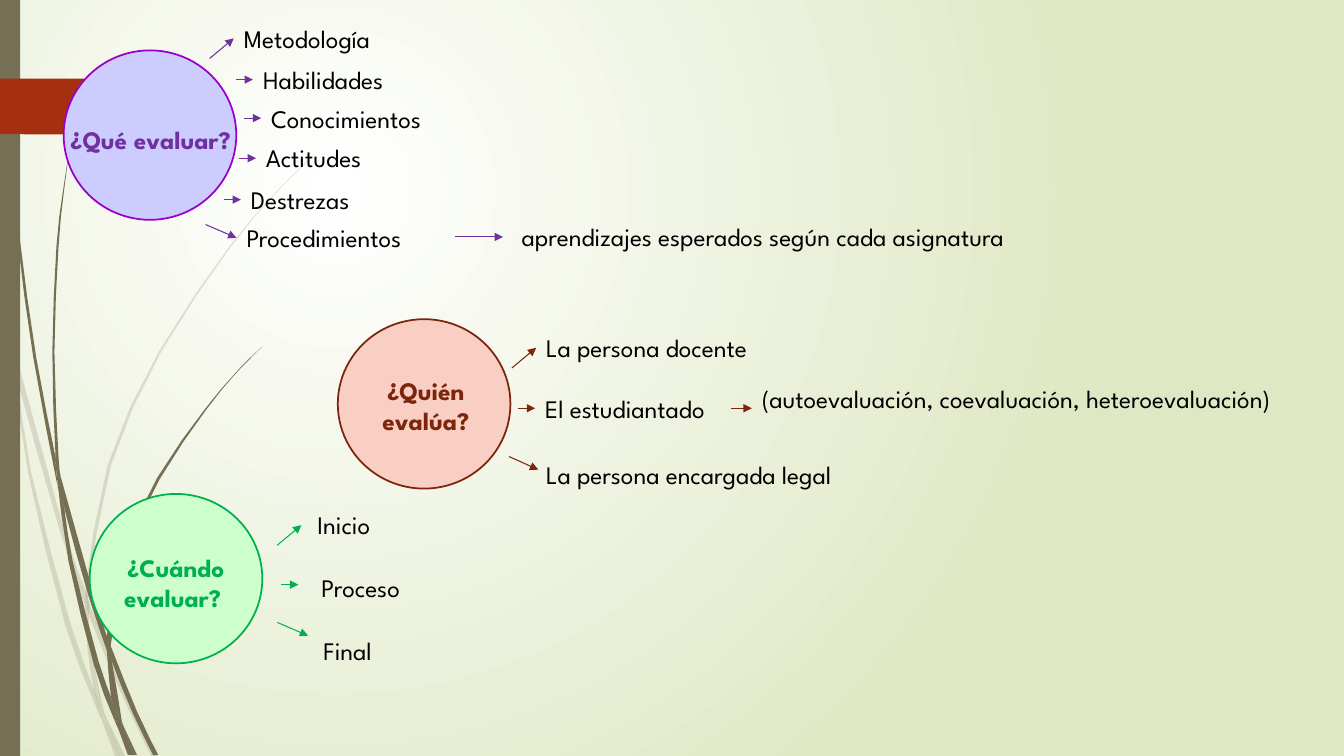
import pptx
import pptx.util
import pptx.dml.color
import pptx.enum.shapes
import pptx.enum.text
import pptx.oxml.ns
import lxml.etree

Pt = pptx.util.Pt
RGBColor = pptx.dml.color.RGBColor
SHAPES = pptx.enum.shapes.MSO_SHAPE
ALIGN = pptx.enum.text.PP_ALIGN

BLACK = RGBColor(0x00, 0x00, 0x00)
WHITE = RGBColor(0xFF, 0xFF, 0xFF)
PALE_GREEN = RGBColor(0xDF, 0xE8, 0xC4)
OLIVE = RGBColor(0x76, 0x6F, 0x54)
RUST = RGBColor(0xA5, 0x30, 0x10)
VIOLET = RGBColor(0x99, 0x00, 0xCC)
PURPLE = RGBColor(0x70, 0x30, 0xA0)
LILAC = RGBColor(0xCC, 0xCC, 0xFF)
BROWN = RGBColor(0x7C, 0x24, 0x0C)
PINK = RGBColor(0xF9, 0xCF, 0xC3)
GREEN = RGBColor(0x00, 0xB0, 0x50)
MINT = RGBColor(0xCC, 0xFF, 0xCC)

FONT = "League Spartan"
SLIDE_SIZE = (960, 540)
CIRCLE_SIZE = (123.3, 121)
ARROW_RUNS = {"up": (17.3, -14.4), "flat": (12.2, 0), "down": (22, 9.5),
              "gentle": (20.9, 9.4), "short": (15.1, 0), "long": (34.6, 0)}

TOPICS = [
    {"circle": (45.5, 36), "fill": LILAC, "line": VIOLET, "color": PURPLE,
     "label": ("¿Qué evaluar?", 40.3, 85.3, 134.6, 29),
     "branches": [
         ("Metodología", 167.1, 13, 226, (167, 27.4), "up"),
         ("Habilidades", 180.9, 42.5, 226, (180.7, 56.9), "flat"),
         ("Conocimientos", 186.5, 70.1, 226, (186.5, 84.4), "flat"),
         ("Actitudes", 182.9, 98.3, 226, (182.9, 113), "flat"),
         ("Destrezas", 172.1, 128.2, 226, (172.1, 142.6), "flat"),
         ("Procedimientos", 169, 155.5, 156, (168.9, 169.9), "down"),
         ("aprendizajes esperados según cada asignatura", 365.6, 154.8, 443,
          (359.3, 169.2), "long")]},
    {"circle": (241.3, 228), "fill": PINK, "line": BROWN, "color": BROWN,
     "label": ("¿Quién evalúa?", 241.2, 264.2, 126, 51),
     "branches": [
         ("La persona docente", 383, 234, 226, (383, 248.4), "up"),
         ("El estudiantado", 382.3, 277.2, 155, (382.3, 291.6), "flat"),
         ("(autoevaluación, coevaluación, heteroevaluación)", 537.1, 270, 407.5,
          (537, 291.6), "short"),
         ("La persona encargada legal", 383, 324.7, 276, (384.5, 335.5), "gentle")]},
    {"circle": (64.1, 352.8), "fill": MINT, "line": GREEN, "color": GREEN,
     "label": ("¿Cuándo evaluar? ", 64.1, 391, 123.1, 51),
     "branches": [
         ("Inicio", 219.6, 360, 226, (215.3, 375.1), "up"),
         ("Proceso", 222.5, 405.4, 73, (213.1, 417.6), "flat"),
         ("Final", 223.9, 450.4, 60, (220.1, 454.1), "down")]},
]

FLAG = [(0, 56.2), (105.1, 56.2), (106.6, 56.9), (124.6, 74.9), (125.3, 76.3),
        (124.6, 77.8), (106.6, 95.8), (105.1, 96.3), (0, 95.8)]
LIGHT_STRANDS = [
    ([(0, 203), (6.5, 231.8), (7.9, 252)], [(7.9, 252), (7.2, 247.7), (0, 215.3)]),
    ([(10.1, 248.4), (12.2, 270.7), (41.8, 375.8), (60.5, 431.3)], [(61.2, 421.9), (44.6, 374.4), (10.1, 248.4)]),
    ([(63.4, 429.1), (63.4, 439.2), (88.6, 499.7), (108, 540)], [(111.6, 540), (91.4, 498.2), (66.2, 437), (63.4, 429.1)]),
    ([(75.6, 511.9), (85.7, 540)], [(89.3, 540), (75.6, 511.9)]),
    ([(7.9, 252), (20.2, 338.4), (46.8, 447.1), (66.2, 499), (72.7, 514.1)],
     [(72.7, 514.1), (71.3, 509), (67, 491.8), (50.4, 445.7), (22.3, 337.7), (12.2, 270.7), (7.9, 252)]),
    ([(60.5, 431.3), (62.6, 465.1), (67, 491.8), (69.1, 498.2), (75.6, 511.9)],
     [(75.6, 511.9), (74.2, 508.3), (65.5, 465.1), (63.4, 439.2), (63.4, 437.8), (60.5, 431.3)]),
    ([(224.6, 110.2), (208.1, 126), (193, 141.8), (164.2, 175.7), (113.8, 250.6), (77, 331.9), (61.2, 420.5), (63.4, 429.1)],
     [(63.4, 429.1), (63.4, 420.5), (79.2, 332.6), (115.2, 251.3), (164.9, 176.4), (193, 142.6), (208.8, 126), (224.6, 110.9)]),
    ([(72.7, 514.1), (82.1, 540)], [(85.7, 540), (72.7, 514.1)]),
    ([(61.2, 421.9), (60.5, 431.3), (63.4, 437.8)], [(63.4, 439.2), (63.4, 429.1), (61.2, 421.9)]),
    ([(67, 491.8), (71.3, 509), (72.7, 514.1), (85.7, 540)], [(85.7, 540), (75.6, 511.9), (69.1, 498.2), (67, 491.8)]),
]
DARK_STRANDS = [
    ([(2.2, 0), (2.9, 34.6), (5, 79.2), (12.2, 167.8), (23.8, 255.6), (40.3, 343.4), (41, 346.3)],
     [(41, 346.3), (39.6, 329), (39.6, 326.2), (25.9, 255.6), (13.7, 167), (5.8, 78.5), (3.6, 34.6), (2.9, 0)]),
    ([(43.2, 339.8), (46.1, 363.6), (63.4, 426.2), (76.3, 464.4)], [(76.3, 455.8), (76.3, 454.3), (67, 424.8), (43.2, 339.8)]),
    ([(79.2, 461.5), (79.9, 472.3), (95, 509.8), (109.4, 539.3)], [(113, 539.3), (97.9, 508.3), (81.4, 467.3), (79.2, 461.5)]),
    ([(41, 343.4), (49, 401), (67, 474.5), (79.9, 509.8), (84.2, 519.8)],
     [(84.2, 519.8), (83.5, 516.2), (79.2, 497.5), (70.6, 473), (51.8, 400.3), (46.1, 363.6), (41, 343.4)]),
    ([(50.4, 101.5), (44.6, 139), (40.3, 176.4), (37.4, 251.3), (39.6, 323.3), (43.2, 339.8)],
     [(43.2, 339.8), (41.8, 326.2), (38.9, 251.3), (41.8, 176.4), (45.4, 139), (50.4, 101.5)]),
    ([(87.8, 517.7), (95.8, 539.3)], [(97.9, 539.3), (87.8, 517.7)]),
    ([(39.6, 323.3), (39.6, 326.2), (41, 343.4), (46.1, 363.6)], [(46.1, 363.6), (43.2, 339.8), (39.6, 323.3)]),
    ([(187.2, 247.7), (176.4, 257.8), (166.3, 268.6), (146.9, 291.6), (112.3, 341.3), (87.8, 396.7), (76.3, 454.3), (79.2, 461.5)],
     [(79.2, 461.5), (79.9, 455.8), (90, 397.4), (113.8, 342.7), (147.6, 292.3), (166.3, 269.3), (176.4, 258.5), (187.2, 247.7)]),
    ([(84.2, 519.8), (91.4, 539.3)], [(94.3, 539.3), (84.2, 519.8)]),
    ([(76.3, 464.4), (79.2, 497.5), (83.5, 508.3), (87.8, 517.7)], [(87.8, 517.7), (87.1, 515.5), (79.9, 472.3), (76.3, 464.4)]),
    ([(76.3, 454.3), (76.3, 464.4), (78.5, 468.7), (79.9, 472.3)], [(79.9, 472.3), (79.2, 461.5), (76.3, 454.3)]),
    ([(79.2, 497.5), (83.5, 516.2), (84.2, 519.8), (93.6, 539.3)], [(95.8, 539.3), (87.8, 517.7), (83.5, 508.3), (79.2, 497.5)]),
]


def add_child(parent, tag, **attributes):
    return lxml.etree.SubElement(parent, pptx.oxml.ns.qn(tag), attributes)


def paint_background(slide):
    fill = slide.background.fill
    fill.gradient()
    for stop, color, position in zip(fill.gradient_stops, (WHITE, PALE_GREEN), (0, 1)):
        stop.color.rgb = color
        stop.position = position
    linear = slide.element.find(".//" + pptx.oxml.ns.qn("a:lin"))
    gradient = linear.getparent()
    gradient.remove(linear)
    circle = add_child(gradient, "a:path", path="circle")
    add_child(circle, "a:fillToRect", l="50000", t="50000", r="100000", b="100000")


def style_shape(shape, fill, line=None):
    shape.shadow.inherit = False
    shape.fill.solid()
    shape.fill.fore_color.rgb = fill
    if line is None:
        shape.line.fill.background()
    else:
        shape.line.color.rgb = line
        shape.line.width = Pt(1.25)


def smooth(points):
    padded = [points[0], *points, points[-1]]
    curve = []
    for before, start, end, after in zip(padded, padded[1:], padded[2:], padded[3:]):
        middle = [(9 * (b + c) - a - d) / 16 for a, b, c, d in zip(before, start, end, after)]
        curve += [start, middle]
    return curve + [points[-1]]


def add_outline(slide, points, fill, opacity=100):
    corners = [(Pt(x), Pt(y)) for x, y in points]
    builder = slide.shapes.build_freeform(*corners[0])
    builder.add_line_segments(corners[1:], close=True)
    shape = builder.convert_to_shape()
    style_shape(shape, fill)
    if opacity < 100:
        color = shape.element.spPr.find(".//" + pptx.oxml.ns.qn("a:srgbClr"))
        add_child(color, "a:alpha", val=str(opacity * 1000))


def add_preset(slide, preset, box, fill, line=None):
    style_shape(slide.shapes.add_shape(preset, *map(Pt, box)), fill, line)


def add_text(slide, text, left, top, width, height, color, bold=False, alignment=ALIGN.LEFT):
    frame = slide.shapes.add_textbox(*map(Pt, (left, top, width, height))).text_frame
    frame.word_wrap = True
    paragraph = frame.paragraphs[0]
    paragraph.text = text
    paragraph.alignment = alignment
    for name, value in {"name": FONT, "size": Pt(18), "bold": bold}.items():
        setattr(paragraph.font, name, value)
    paragraph.font.color.rgb = color


def add_arrow(slide, tip, run, color):
    ends = (tip[0] - run[0], tip[1] - run[1], *tip)
    arrow = slide.shapes.add_connector(pptx.enum.shapes.MSO_CONNECTOR.STRAIGHT, *map(Pt, ends))
    arrow.line.color.rgb = color
    arrow.line.width = Pt(0.75)
    add_child(arrow.line._get_or_add_ln(), "a:tailEnd", type="triangle")
    add_child(arrow.element.spPr, "a:effectLst")


def main():
    presentation = pptx.Presentation()
    presentation.slide_width, presentation.slide_height = map(Pt, SLIDE_SIZE)
    slide = presentation.slides.add_slide(presentation.slide_layouts[6])
    paint_background(slide)
    for strands, opacity in ((LIGHT_STRANDS, 20), (DARK_STRANDS, 100)):
        for left_edge, right_edge in strands:
            add_outline(slide, smooth(left_edge) + smooth(right_edge), OLIVE, opacity)
    add_preset(slide, SHAPES.RECTANGLE, (0, 0, 14.4, 540), OLIVE)
    add_outline(slide, FLAG, RUST)
    for topic in TOPICS:
        color = topic["color"]
        add_preset(slide, SHAPES.OVAL, topic["circle"] + CIRCLE_SIZE, topic["fill"], topic["line"])
        add_text(slide, *topic["label"], color, True, ALIGN.CENTER)
        for text, left, top, width, tip, direction in topic["branches"]:
            add_text(slide, text, left, top, width, 29, BLACK)
            add_arrow(slide, tip, ARROW_RUNS[direction], color)
    presentation.save("out.pptx")


if __name__ == "__main__":
    main()
